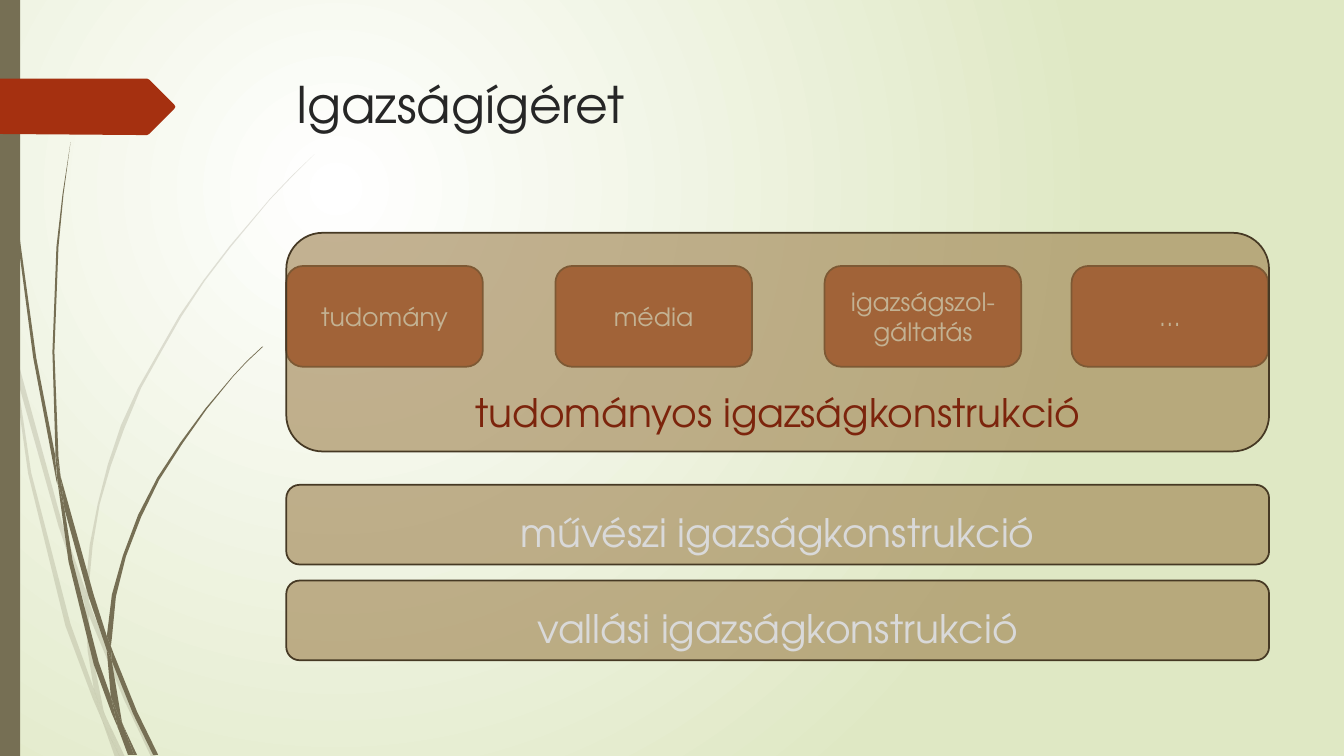
from lxml import etree
from pptx import Presentation
from pptx.dml.color import RGBColor
from pptx.enum.shapes import MSO_SHAPE as SHAPE
from pptx.enum.text import MSO_ANCHOR as ANCHOR, PP_ALIGN as ALIGN
from pptx.oxml import parse_xml
from pptx.oxml.ns import nsdecls, qn
from pptx.util import Pt

FONT = "TeX Gyre Adventor"
OLIVE, RED, TAN = "766F54", "A53010", "9F8351"
LEFT, WIDTH = 204.5, 702
UNIT = Pt(0.72)

PALE_BLADES = [
    "11,350 9,322 0,282 0,299 10,344",
    "58,522 84,599 85,586 62,520 14,345 17,376",
    "92,607 88,596 88,610 123,694 150,751 155,751 127,692",
    "119,751 124,751 105,711",
    "93,683 70,619 31,469 17,376 11,350 28,470 65,621 92,693 101,714 99,707",
    "84,599 87,646 93,683 96,692 105,711 103,706 91,646 88,610 88,608",
    "88,584 92,541 99,500 110,462 123,426 140,385 160,349 180,314 203,279 229,245 "
    "268,198 290,175 312,153 289,175 268,197 228,244 202,278 178,313 158,348 "
    "137,385 120,422 107,461 97,500 89,541 85,584 85,586 88,596",
    "101,714 114,751 119,751",
    "88,608 88,610 88,596 85,586 84,599",
    "96,692 93,683 99,707 101,714 119,751 105,711",
]
DARK_BLADES = [
    "7,110 17,233 33,355 56,477 57,481 55,457 55,453 36,355 19,232 8,109 5,48 4,0 3,0 4,48",
    "88,592 106,645 106,633 106,631 93,590 60,472 64,505",
    "113,649 110,641 111,656 132,708 152,749 157,749 136,706",
    "110,691 98,657 72,556 64,505 57,477 68,557 93,659 111,708 117,722 116,717",
    "60,472 58,453 54,349 58,245 63,193 70,141 62,193 56,245 52,349 55,449",
    "133,749 136,749 122,719",
    "57,477 64,505 60,472 55,449 55,453",
    "111,633 115,592 125,552 140,513 158,476 181,440 205,406 231,374 245,359 261,344 "
    "260,344 245,358 231,373 204,405 179,439 156,474 137,511 122,551 111,590 106,631 110,641",
    "117,722 127,749 131,749",
    "106,645 110,691 116,706 122,719 121,716 111,656 109,651",
    "106,645 109,651 111,656 110,641 106,631 106,633",
    "116,706 110,691 116,717 117,722 130,749 133,749 122,719",
]
ARROW = "173,108 148,133 146,134 136,134 0,133 0,78 146,78 148,79 173,104 174,106"
TOPICS = [
    ("média", 396.7),
    ("tudomány", LEFT),
    ("igazságszol-gáltatás", 589),
    ("…", 765.4),
]
BANDS = [
    ("tudományos igazságkonstrukció", 166.3, 156.2, "7C240C"),
    ("művészi igazságkonstrukció", 346.3, 56.9, "D9D9D9"),
    ("vallási igazságkonstrukció", 414.7, 56.9, "D9D9D9"),
]


def rgb(color):
    """Turn a hex string into a colour."""
    return RGBColor.from_string(color)


def paint(sp, color, opacity=100, line=None):
    """Set the fill, opacity and outline of a shape."""
    sp.shadow.inherit = False
    sp.fill.solid()
    sp.fill.fore_color.rgb = rgb(color)
    if opacity < 100:
        clr = sp._element.spPr.find(qn("a:solidFill"))[0]
        etree.SubElement(clr, qn("a:alpha")).set("val", str(opacity * 1000))
    if line:
        sp.line.color.rgb = rgb(line)
        sp.line.width = Pt(1.25)
    else:
        sp.line.fill.background()


def write(sp, text, size, color, anchor, align):
    """Put one run of text in a shape."""
    tf = sp.text_frame
    tf.word_wrap = True
    tf.vertical_anchor = anchor
    p = tf.paragraphs[0]
    p.alignment = align
    r = p.add_run()
    r.text = text
    r.font.name = FONT
    r.font.size = Pt(size)
    r.font.color.rgb = rgb(color)


def add_background(s):
    """Fill the background with a radial gradient."""
    fill = s.background.fill
    fill.gradient()
    grad = s._element.cSld.find(".//" + qn("a:gradFill"))
    stops = "".join(
        f'<a:gs pos="{pos}"><a:srgbClr val="{color}"/></a:gs>'
        for pos, color in ((0, "FFFFFF"), (100000, "DFE8C4"))
    )
    radial = parse_xml(
        f'<a:gradFill {nsdecls("a")} rotWithShape="1"><a:gsLst>{stops}</a:gsLst>'
        '<a:path path="circle"><a:fillToRect l="50000" t="50000" r="100000" b="100000"/>'
        "</a:path></a:gradFill>"
    )
    grad.getparent().replace(grad, radial)


def add_outline(s, outline, color, opacity=100):
    """Draw a closed outline from its corner points."""
    points = [tuple(map(int, pair.split(","))) for pair in outline.split()]
    builder = s.shapes.build_freeform(*points[0], scale=UNIT)
    builder.add_line_segments(points[1:], close=True)
    paint(builder.convert_to_shape(), color, opacity)


def add_box(s, kind, left, top, width, height):
    """Add a preset shape."""
    return s.shapes.add_shape(kind, Pt(left), Pt(top), Pt(width), Pt(height))


def add_title(s, text):
    """Add the slide title."""
    sp = s.shapes.add_textbox(Pt(LEFT), Pt(49), Pt(WIDTH), Pt(100.8))
    write(sp, text, 36, "262626", ANCHOR.TOP, ALIGN.LEFT)


def add_topic(s, text, left):
    """Add a small topic box."""
    sp = add_box(s, SHAPE.ROUNDED_RECTANGLE, left, 190, 140.4, 72)
    paint(sp, RED, line="481507")
    write(sp, text, 18, "FFFFFF", ANCHOR.MIDDLE, ALIGN.CENTER)


def add_band(s, text, top, height, color):
    """Add a wide translucent band."""
    sp = add_box(s, SHAPE.ROUNDED_RECTANGLE, LEFT, top, WIDTH, height)
    paint(sp, TAN, 62, "463924")
    write(sp, text, 28, color, ANCHOR.BOTTOM, ALIGN.CENTER)


def main():
    """Build and save the slide."""
    prs = Presentation()
    prs.slide_width, prs.slide_height = Pt(960), Pt(540)
    s = prs.slides.add_slide(prs.slide_layouts[6])
    add_background(s)
    for blade in PALE_BLADES:
        add_outline(s, blade, OLIVE, 20)
    for blade in DARK_BLADES:
        add_outline(s, blade, OLIVE)
    paint(add_box(s, SHAPE.RECTANGLE, 0, 0, 14.4, 540), OLIVE)
    add_outline(s, ARROW, RED)
    add_title(s, "Igazságígéret")
    for topic in TOPICS:
        add_topic(s, *topic)
    for band in BANDS:
        add_band(s, *band)
    prs.save("out.pptx")


if __name__ == "__main__":
    main()
